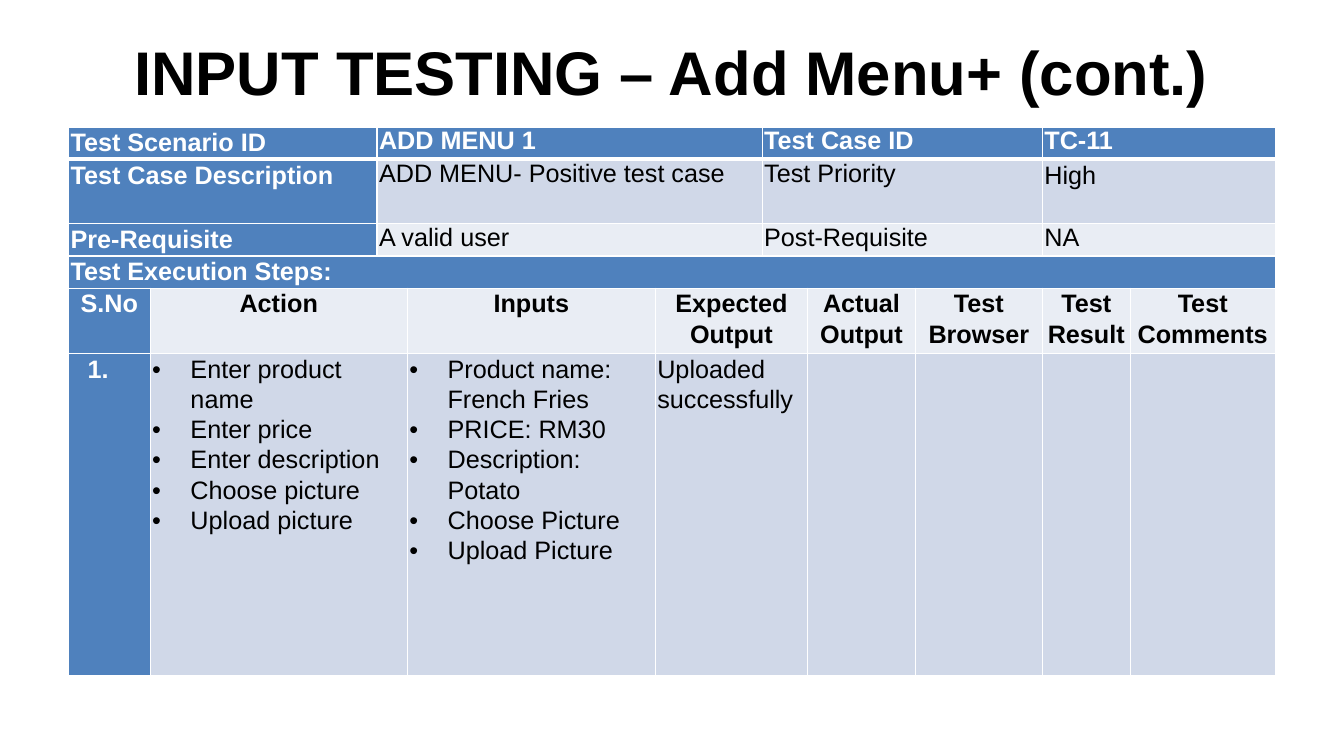
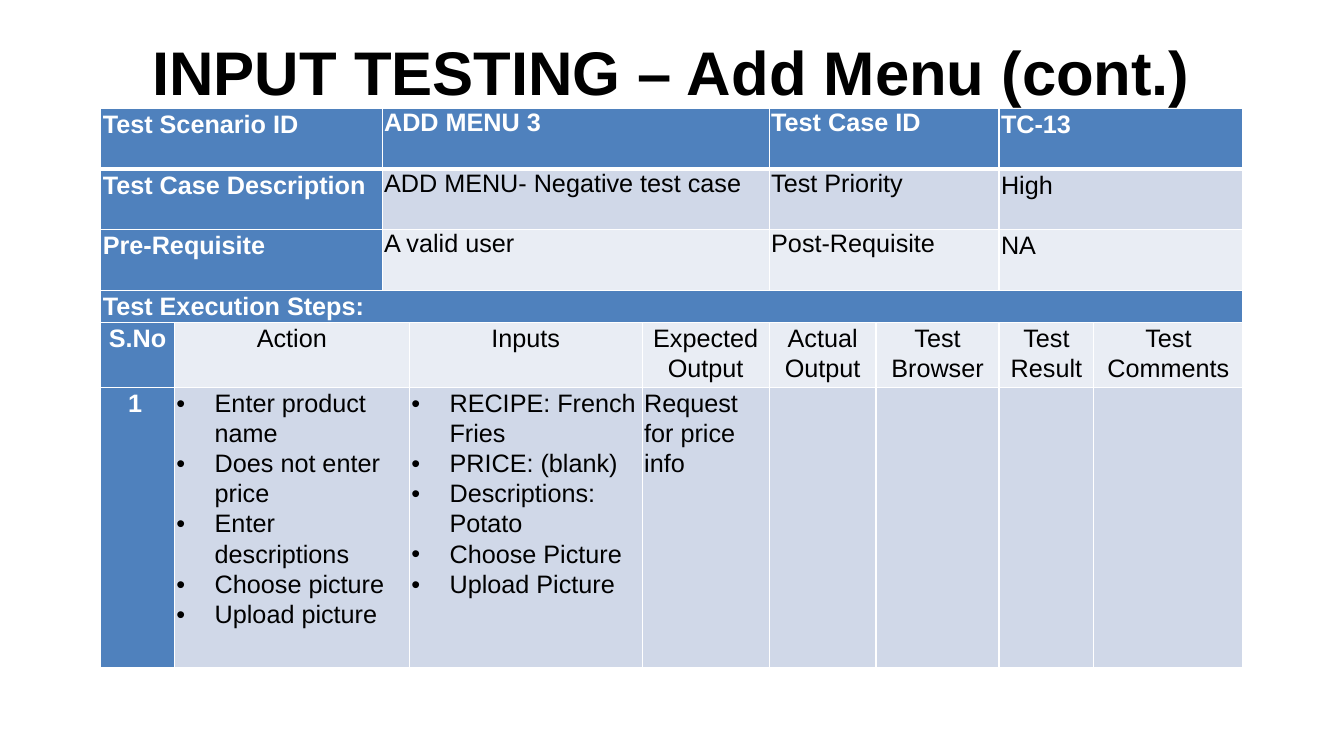
from pptx import Presentation
from pptx.dml.color import RGBColor
from pptx.enum.text import MSO_ANCHOR, PP_ALIGN
from pptx.oxml import parse_xml
from pptx.oxml.ns import nsdecls
from pptx.util import Inches, Pt

FONT = "Arial"
BLUE, MID, PALE = "4F81BD", "D0D8E8", "E9EDF4"
WHITE, BLACK = "FFFFFF", "000000"
LOOSE = 1.07
BULLET_INDENT = 0.38

INFO_LABELS = [
    ("Test Scenario ID", "Test Case ID"),
    ("Test Case Description", "Test Priority"),
    ("Pre-Requisite", "Post-Requisite"),
]
STEP_HEADINGS = [
    "S.No", "Action", "Inputs", "Expected Output",
    "Actual Output", "Test Browser", "Test Result", "Test Comments",
]

TEST_CASES = [
    {
        "title": "INPUT TESTING – Add Menu+ (cont.)",
        "origin": (0.68, 1.26),
        "columns": [0.81, 2.25, 0.3, 2.46, 1.06, 0.45, 1.07, 1.26, 0.87, 1.44],
        "rows": [0.32, 0.64, 0.32, 0.32, 0.65, 3.19],
        "info_spans": (2, 3, 3, 2),
        "step_spans": (1, 2, 1, 2, 1, 1, 1, 1),
        "info": [("ADD MENU 1", "TC-11"),
                 ("ADD MENU- Positive test case", "High"),
                 ("A valid user", "NA")],
        "value_spacing": (1.0, LOOSE, 1.0),
        "bold_headings": True,
        "number": ("1.", 0.17),
        "actions": ["Enter product name", "Enter price", "Enter description",
                    "Choose picture", "Upload picture"],
        "inputs": ["Product name: French Fries", "PRICE: RM30",
                   "Description: Potato", "Choose Picture", "Upload Picture"],
        "expected": "Uploaded successfully",
    },
    {
        "title": "INPUT TESTING – Add Menu (cont.)",
        "origin": (1, 1.08),
        "columns": [0.73, 2.06, 0.27, 2.31, 1.26, 1.06, 1.22, 0.94, 1.48],
        "rows": [0.6, 0.6, 0.6, 0.32, 0.64, 2.78],
        "info_spans": (2, 3, 2, 2),
        "step_spans": (1, 2, 1, 1, 1, 1, 1, 1),
        "info": [("ADD MENU 3", "TC-13"),
                 ("ADD MENU- Negative test case", "High"),
                 ("A valid user", "NA")],
        "value_spacing": (LOOSE, LOOSE, LOOSE),
        "bold_headings": False,
        "number": ("1", 0.25),
        "actions": ["Enter product name", "Does not enter price",
                    "Enter descriptions", "Choose picture", "Upload picture"],
        "inputs": ["RECIPE: French Fries", "PRICE: (blank)",
                   "Descriptions: Potato", "Choose Picture", "Upload Picture"],
        "expected": "Request for price info",
    },
]


def rgb(value):
    return RGBColor.from_string(value)


def set_font(para, size, color, bold):
    para.font.name, para.font.size = FONT, Pt(size)
    para.font.bold, para.font.color.rgb = bold, rgb(color)


def add_title(page, text):
    box = page.shapes.add_textbox(0, Inches(0.29), Inches(13.33), Inches(0.68))
    frame = box.text_frame
    frame.word_wrap = True
    frame.margin_top = Inches(0.05)
    para = frame.paragraphs[0]
    para.text = text
    para.alignment = PP_ALIGN.CENTER
    set_font(para, 44, BLACK, True)


def set_indent(para, left, bullet=False):
    props = para._p.get_or_add_pPr()
    props.set("marL", str(Inches(left)))
    props.set("indent", str(-Inches(left) if bullet else 0))
    if bullet:
        namespace = nsdecls("a")
        props.append(parse_xml(f'<a:buFont {namespace} typeface="{FONT}"/>'))
        props.append(parse_xml(f'<a:buChar {namespace} char="•"/>'))


def prepare_cell(cell, row):
    cell.margin_left = cell.margin_right = Inches(0.02)
    cell.margin_top = cell.margin_bottom = 0
    cell.vertical_anchor = MSO_ANCHOR.TOP
    props = cell._tc.get_or_add_tcPr()
    for side in "LRTB":
        heavy = (row, side) in ((0, "B"), (1, "T"))
        props.append(parse_xml(
            f'<a:ln{side} {nsdecls("a")} w="{Pt(3 if heavy else 1)}"><a:solidFill>'
            f'<a:srgbClr val="{WHITE}"/></a:solidFill></a:ln{side}>'))


def write_cell(cell, lines, fill, bold=False, spacing=LOOSE, center=False,
               indent=0, bullet=False):
    cell.fill.solid()
    cell.fill.fore_color.rgb = rgb(fill)
    frame = cell.text_frame
    for index, line in enumerate(lines):
        para = frame.add_paragraph() if index else frame.paragraphs[0]
        para.text = line
        para.line_spacing = spacing
        para.alignment = PP_ALIGN.CENTER if center else PP_ALIGN.LEFT
        set_font(para, 18, WHITE if fill == BLUE else BLACK, bold or fill == BLUE)
        if indent:
            set_indent(para, indent, bullet)


def merge_row(table, row, spans):
    cells, start = [], 0
    for span in spans:
        cell = table.cell(row, start)
        if span > 1:
            cell.merge(table.cell(row, start + span - 1))
        cells.append(cell)
        start += span
    return cells


def add_case_table(page, case):
    columns, rows = case["columns"], case["rows"]
    left, top = case["origin"]
    table = page.shapes.add_table(
        len(rows), len(columns), Inches(left), Inches(top),
        Inches(sum(columns)), Inches(sum(rows))).table
    for column, width in zip(table.columns, columns):
        column.width = Inches(width)
    for row, height in enumerate(rows):
        table.rows[row].height = Inches(height)
        for cell in table.rows[row].cells:
            prepare_cell(cell, row)

    for row, fill in enumerate((BLUE, MID, PALE)):
        label, second_label = INFO_LABELS[row]
        value, second_value = case["info"][row]
        spacings = (LOOSE, 1.0, 1.0, case["value_spacing"][row])
        fills = (BLUE, fill, fill, fill)
        texts = (label, value, second_label, second_value)
        cells = merge_row(table, row, case["info_spans"])
        for cell, text, color, spacing in zip(cells, texts, fills, spacings):
            write_cell(cell, [text], color, spacing=spacing)

    banner, = merge_row(table, 3, (len(columns),))
    write_cell(banner, ["Test Execution Steps:"], BLUE)

    for index, cell in enumerate(merge_row(table, 4, case["step_spans"])):
        write_cell(cell, [STEP_HEADINGS[index]], PALE if index else BLUE,
                   bold=case["bold_headings"], center=True)

    number, actions, inputs, expected, *blanks = merge_row(table, 5, case["step_spans"])
    text, indent = case["number"]
    write_cell(number, [text], BLUE, indent=indent)
    for cell, lines in ((actions, case["actions"]), (inputs, case["inputs"])):
        write_cell(cell, lines, MID, indent=BULLET_INDENT, bullet=True)
    write_cell(expected, [case["expected"]], MID)
    for cell in blanks:
        write_cell(cell, [], MID)


def main():
    deck = Presentation()
    deck.slide_width, deck.slide_height = Inches(13.33), Inches(7.5)
    for case in TEST_CASES:
        page = deck.slides.add_slide(deck.slide_layouts[6])
        add_case_table(page, case)
        add_title(page, case["title"])
    deck.save("out.pptx")


if __name__ == "__main__":
    main()
